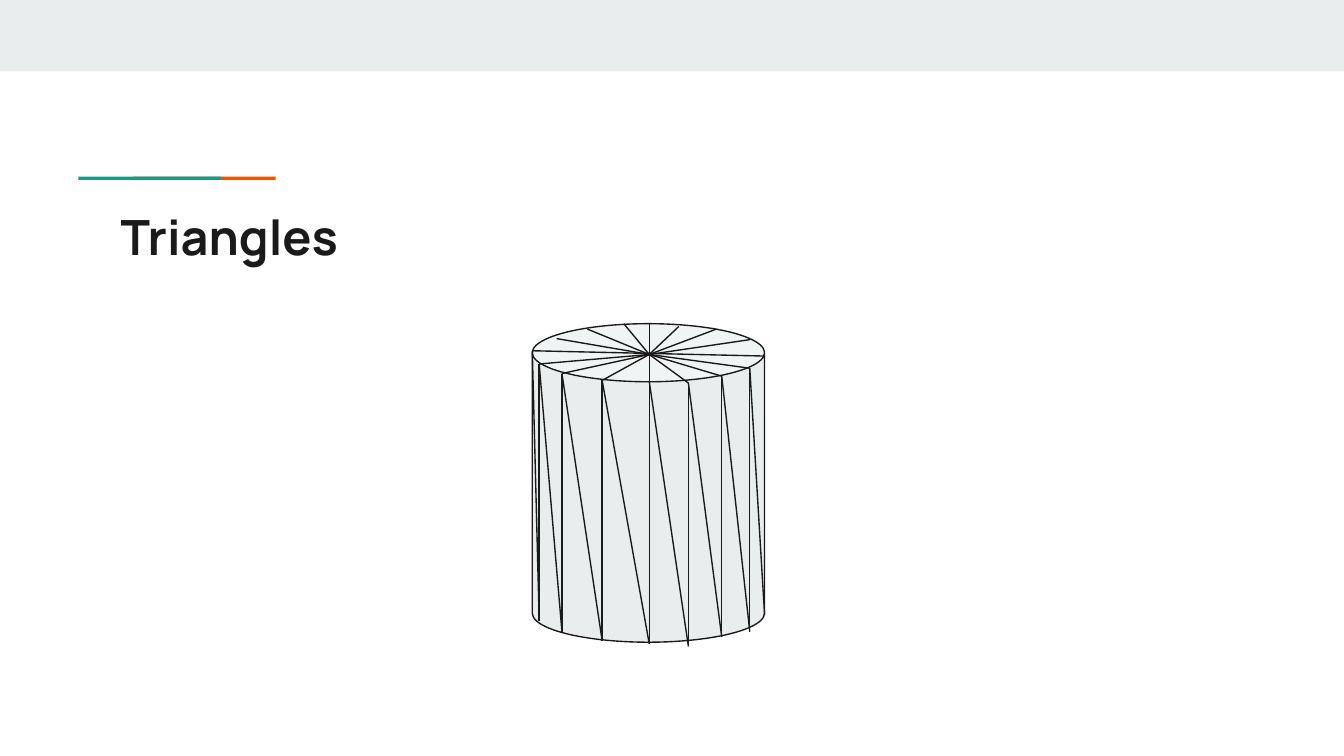
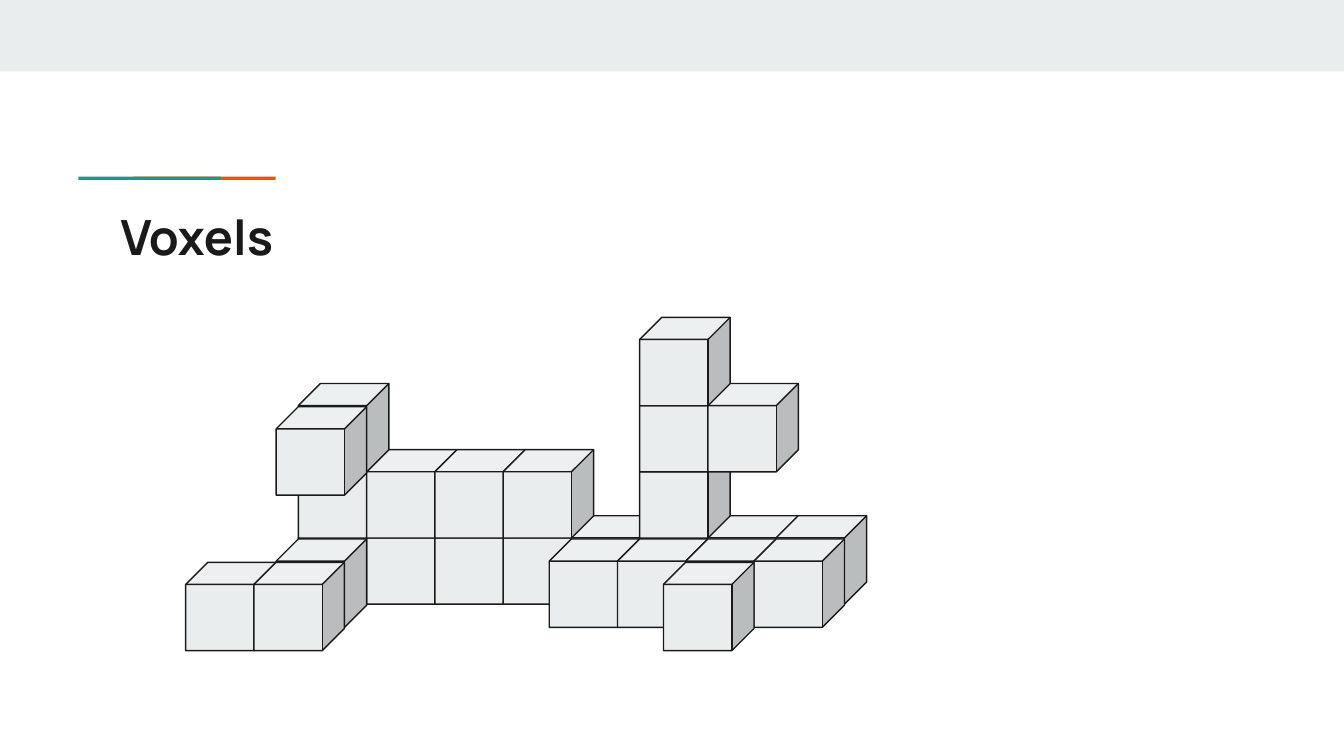
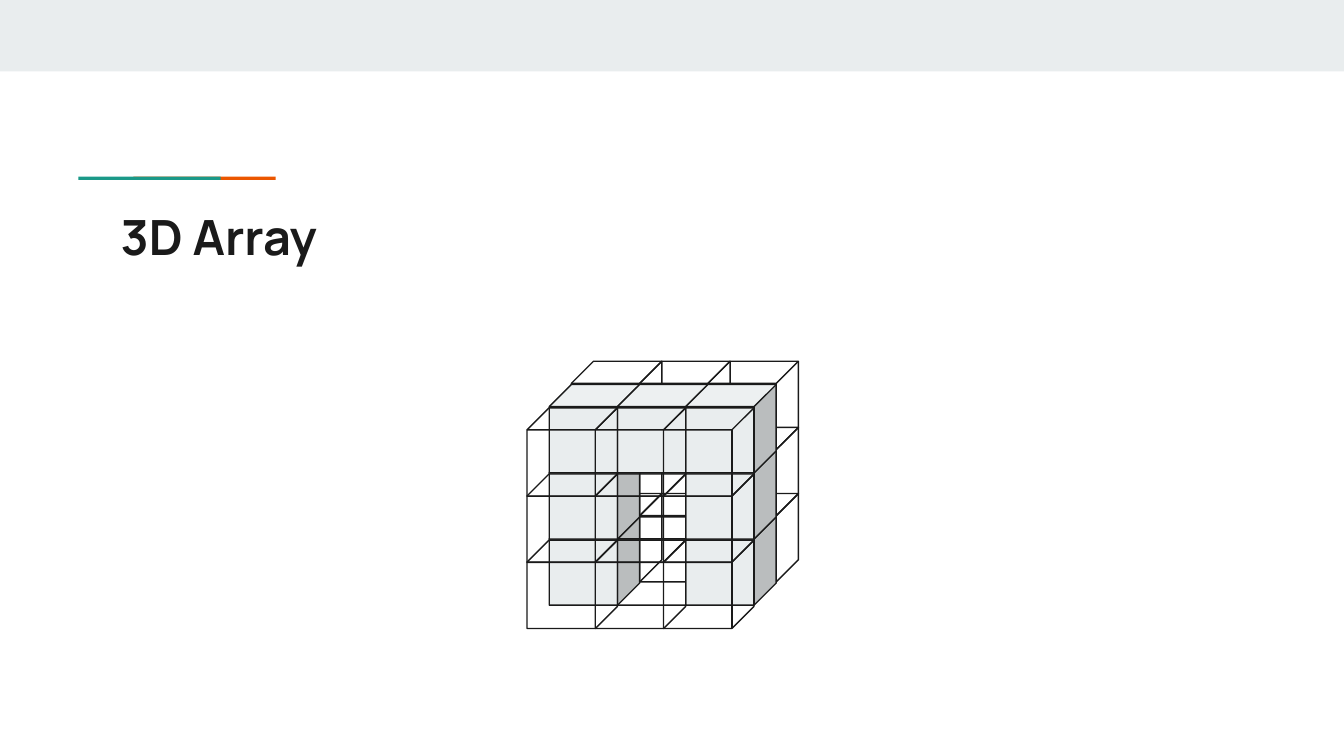
from dataclasses import dataclass
from itertools import pairwise

from pptx import Presentation
from pptx.dml.color import RGBColor
from pptx.enum.shapes import MSO_CONNECTOR, MSO_SHAPE
from pptx.enum.text import MSO_ANCHOR, MSO_AUTO_SIZE, PP_ALIGN
from pptx.oxml.ns import qn
from pptx.util import Cm, Pt


@dataclass(frozen=True)
class Theme:
    ink: RGBColor = RGBColor(0x1A, 0x1A, 0x1A)
    pale: RGBColor = RGBColor(0xE9, 0xED, 0xEE)
    teal: RGBColor = RGBColor(0x1A, 0x99, 0x88)
    orange: RGBColor = RGBColor(0xEB, 0x56, 0x00)
    font: str = "Manrope"
    title_size: Pt = Pt(26)
    line_width: Pt = Pt(0.75)


@dataclass(frozen=True)
class Box:
    """Position and size in centimetres."""
    left: float
    top: float
    width: float
    height: float

    def emu(self):
        return Cm(self.left), Cm(self.top), Cm(self.width), Cm(self.height)


THEME = Theme()
SLIDE = Box(0, 0, 25.4, 14.29)
BAND = Box(0, 0, SLIDE.width, 1.35)
TITLE = Box(2.03, 3.66, 21.36, 1.5)
ORANGE_RULE = Box(2.52, 3.34, 2.69, 0.06)
TEAL_RULE = Box(1.48, 3.34, 2.69, 0.06)

# Cylinder mesh, in centimetres from the corner of its box
HUB = (2.21, 0.58)
BACK_RIM = [(0.46, 0.28), (1.04, 0.1), (1.73, 0),
            (2.77, 0.05), (3.48, 0.1), (4.11, 0.3)]
SEAMS = [  # x, top, bottom
    (0.13, 0.76, 5.61), (0.56, 0.94, 5.82), (1.32, 1.07, 5.99),
    (2.21, 1.09, 6.05), (2.95, 1.12, 6.1), (3.58, 0.99, 5.92),
    (4.11, 0.84, 5.82),
]
LEFT_EDGE_TOP, RIGHT_EDGE_TOP, RIGHT_EDGE_BOTTOM = 0.51, 0.61, 5.51

# Cube lattice, in centimetres
CUBE_WIDTH, CUBE_HEIGHT = 1.71, 1.67
COLUMN_STEP, LEVEL_STEP = 1.29, 1.25
DEPTH_LEFT, DEPTH_DOWN = 0.42, 0.44

# Planes from back to front, rows from top to bottom: # solid, o hollow
VOXEL_PLANES = [
    ["......#..",
     ".#....##.",
     ".####.#..",
     ".########"],
    ["", ".#", "", ".#...####"],
    ["", "", "", "##.....#"],
]
ARRAY_PLANES = [
    ["ooo"] * 3,
    ["###", "#o#", "#o#"],
    ["ooo"] * 3,
]


def add_shape(s, kind, box, fill=None, outlined=False):
    sp = s.shapes.add_shape(kind, *box.emu())
    sp.shadow.inherit = False
    if fill is None:
        sp.fill.background()
    else:
        sp.fill.solid()
        sp.fill.fore_color.rgb = fill
    if outlined:
        sp.line.color.rgb = THEME.ink
        sp.line.width = THEME.line_width
    else:
        sp.line.fill.background()
    return sp


def add_edge(s, box, start, end):
    """Draw a line between two points measured from the box's corner."""
    ends = [Cm(v) for x, y in (start, end)
            for v in (box.left + x, box.top + y)]
    line = s.shapes.add_connector(MSO_CONNECTOR.STRAIGHT, *ends)
    line.line.color.rgb = THEME.ink
    line.line.width = THEME.line_width
    sp_pr = line.element.spPr
    sp_pr.append(sp_pr.makeelement(qn("a:effectLst"), {}))


def add_title_slide(prs, title):
    s = prs.slides.add_slide(prs.slide_layouts[5])
    add_shape(s, MSO_SHAPE.RECTANGLE, BAND, THEME.pale)
    add_shape(s, MSO_SHAPE.RECTANGLE, ORANGE_RULE, THEME.orange)
    add_shape(s, MSO_SHAPE.RECTANGLE, TEAL_RULE, THEME.teal)

    sp = s.shapes.title
    sp.left, sp.top, sp.width, sp.height = TITLE.emu()
    tf = sp.text_frame
    tf.text = title
    tf.word_wrap = True
    tf.auto_size = MSO_AUTO_SIZE.NONE
    tf.vertical_anchor = MSO_ANCHOR.TOP
    tf.margin_left = tf.margin_right = Cm(0.25)
    tf.margin_top = tf.margin_bottom = Cm(0.25)
    p = tf.paragraphs[0]
    p.alignment = PP_ALIGN.LEFT
    p.font.name = THEME.font
    p.font.size = THEME.title_size
    p.font.bold = True
    p.font.color.rgb = THEME.ink
    return s


def add_cylinder_mesh(s, box):
    add_shape(s, MSO_SHAPE.CAN, box, THEME.pale, outlined=True)

    front_rim = [(x, top) for x, top, _ in SEAMS]
    middle = front_rim[len(front_rim) // 2]
    add_edge(s, box, middle, (middle[0], 0))
    add_edge(s, box, (0, LEFT_EDGE_TOP), (box.width, RIGHT_EDGE_TOP))
    for rim in BACK_RIM + front_rim:
        if rim != middle:
            add_edge(s, box, HUB, rim)

    for x, top, bottom in SEAMS:
        add_edge(s, box, (x, top), (x, bottom))
    diagonal_ends = [(0, LEFT_EDGE_TOP, None), *SEAMS,
                     (box.width, None, RIGHT_EDGE_BOTTOM)]
    for (x, top, _), (next_x, _, bottom) in pairwise(diagonal_ends):
        add_edge(s, box, (x, top), (next_x, bottom))


def add_cubes(s, left, top, planes):
    """Stack cubes back to front and bottom up so nearer ones overlap."""
    for depth, rows in enumerate(planes):
        for row in reversed(range(len(rows))):
            for column, mark in enumerate(rows[row]):
                if mark == ".":
                    continue
                box = Box(left + column * COLUMN_STEP - depth * DEPTH_LEFT,
                          top + row * LEVEL_STEP + depth * DEPTH_DOWN,
                          CUBE_WIDTH, CUBE_HEIGHT)
                fill = THEME.pale if mark == "#" else None
                add_shape(s, MSO_SHAPE.CUBE, box, fill, outlined=True)


def main():
    prs = Presentation()
    prs.slide_width, prs.slide_height = Cm(SLIDE.width), Cm(SLIDE.height)
    add_cylinder_mesh(add_title_slide(prs, "Triangles"),
                      Box(10.06, 6.12, 4.39, 6.02))
    add_cubes(add_title_slide(prs, "Voxels"), 4.35, 6, VOXEL_PLANES)
    add_cubes(add_title_slide(prs, "3D Array"), 10.8, 6.83, ARRAY_PLANES)
    prs.save("out.pptx")


if __name__ == "__main__":
    main()
